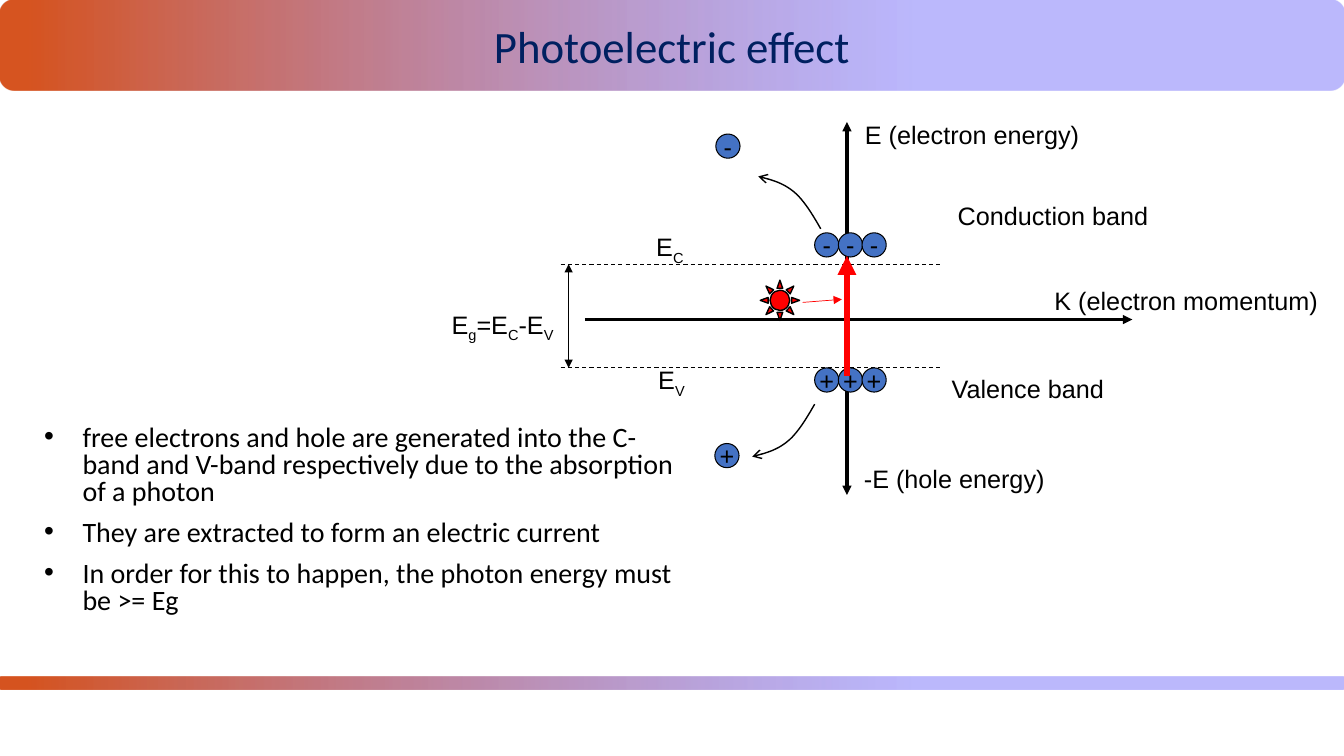
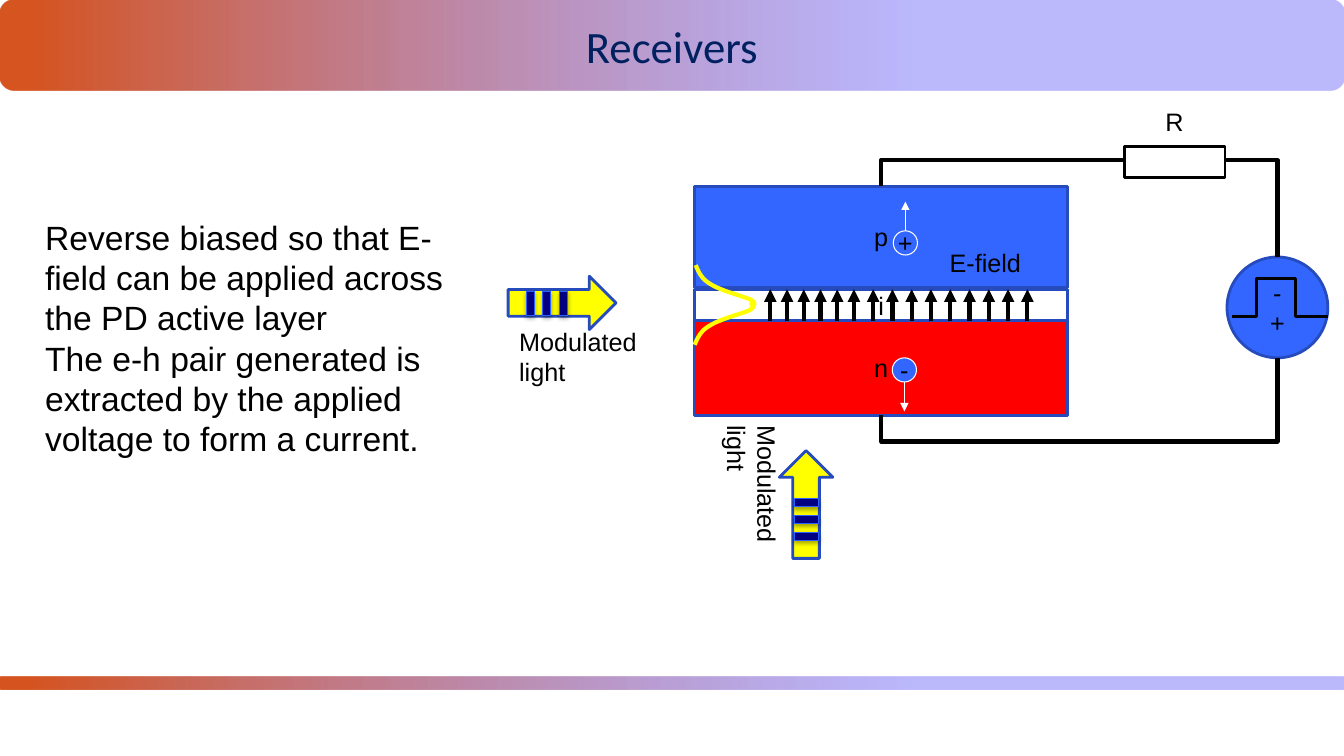
"""Build two slides on the photoelectric effect and on optical receivers."""
from dataclasses import dataclass
from typing import Optional

from lxml.etree import SubElement
from pptx import Presentation
from pptx.dml.color import RGBColor
from pptx.enum.dml import MSO_LINE
from pptx.enum.shapes import MSO_CONNECTOR, MSO_SHAPE
from pptx.enum.text import MSO_ANCHOR, MSO_AUTO_SIZE, PP_ALIGN
from pptx.oxml.ns import qn
from pptx.util import Inches, Pt

BLACK = RGBColor(0x00, 0x00, 0x00)
WHITE = RGBColor(0xFF, 0xFF, 0xFF)
RED = RGBColor(0xFF, 0x00, 0x00)
YELLOW = RGBColor(0xFF, 0xFF, 0x00)
NAVY = RGBColor(0x00, 0x00, 0x80)
TITLE_BLUE = RGBColor(0x00, 0x20, 0x60)
BAND_ORANGE = RGBColor(0xD6, 0x54, 0x20)
BAND_VIOLET = RGBColor(0x7B, 0x75, 0xFB)
CHARGE_BLUE = RGBColor(0x44, 0x72, 0xC4)
DIODE_BLUE = RGBColor(0x33, 0x66, 0xFF)
EDGE_BLUE = RGBColor(0x26, 0x4B, 0xBD)
STRIPE_EDGE = RGBColor(0x2D, 0x61, 0xFE)

PAGE_WIDTH = 13.33
CHARGE_SIZE = 0.24
Point = tuple[float, float]


@dataclass(frozen=True)
class Area:
    left: float
    top: float
    width: float
    height: float

    def lengths(self) -> tuple:
        return tuple(Inches(v) for v in (self.left, self.top, self.width, self.height))


@dataclass(frozen=True)
class Stroke:
    color: RGBColor
    width: float
    head: Optional[str] = None
    tail: Optional[str] = None
    dashed: bool = False


@dataclass(frozen=True)
class Label:
    """A text whose strings alternate between normal and subscript."""
    left: float
    top: float
    width: float
    strings: tuple[str, ...]


@dataclass(frozen=True)
class Layer:
    name: str
    top: float
    height: float
    color: RGBColor


def set_line(line, line_parent, stroke: Stroke) -> None:
    line.color.rgb = stroke.color
    line.width = Pt(stroke.width)
    if stroke.dashed:
        line.dash_style = MSO_LINE.DASH
    outline = line_parent.find(qn("a:ln"))
    for tag, kind in (("a:headEnd", stroke.head), ("a:tailEnd", stroke.tail)):
        if kind:
            SubElement(outline, qn(tag)).set("type", kind)


def add_span(para, text: str, size: float, font: str = "Arial",
             color: RGBColor = BLACK, subscript: bool = False) -> None:
    span = para.add_run()
    span.text = text
    span.font.size = Pt(size)
    span.font.name = font
    span.font.color.rgb = color
    if subscript:
        span._r.get_or_add_rPr().set("baseline", "-25000")


def next_para(frame, index: int):
    return frame.add_paragraph() if index else frame.paragraphs[0]


def add_text_box(page, area: Area, wrap: bool = True):
    box = page.shapes.add_textbox(*area.lengths())
    box.text_frame.word_wrap = wrap
    return box


def add_label(page, label: Label) -> None:
    box = add_text_box(page, Area(label.left, label.top, label.width, 0.4), wrap=False)
    box.text_frame.auto_size = MSO_AUTO_SIZE.SHAPE_TO_FIT_TEXT
    for index, text in enumerate(label.strings):
        add_span(box.text_frame.paragraphs[0], text, 18, subscript=index % 2 == 1)


def add_figure(page, kind, area: Area, fill: RGBColor, stroke: Stroke,
               lines: tuple[str, ...] = (), wrap: bool = True):
    shape = page.shapes.add_shape(kind, *area.lengths())
    shape.shadow.inherit = False
    shape.fill.solid()
    shape.fill.fore_color.rgb = fill
    set_line(shape.line, shape.element.spPr, stroke)
    if lines:
        frame = shape.text_frame
        frame.word_wrap = wrap
        frame.vertical_anchor = MSO_ANCHOR.MIDDLE
        for index, text in enumerate(lines):
            para = next_para(frame, index)
            para.alignment = PP_ALIGN.CENTER
            add_span(para, text, 18)
    return shape


def add_charge(page, left: float, top: float, sign: str,
               fill: RGBColor = CHARGE_BLUE, edge: RGBColor = BLACK) -> None:
    add_figure(page, MSO_SHAPE.OVAL, Area(left, top, CHARGE_SIZE, CHARGE_SIZE), fill,
               Stroke(edge, 0.75), (sign,), wrap=False)


def add_line(page, start: Point, end: Point, stroke: Stroke) -> None:
    ends = (Inches(v) for v in (*start, *end))
    line = page.shapes.add_connector(MSO_CONNECTOR.STRAIGHT, *ends)
    set_line(line.line, line.element.spPr, stroke)
    SubElement(line.element.spPr, qn("a:effectLst"))


def add_outline(page, points: list[Point], stroke: Stroke) -> None:
    corners = [(Inches(x), Inches(y)) for x, y in points]
    builder = page.shapes.build_freeform(*corners[0])
    builder.add_line_segments(corners[1:], close=False)
    shape = builder.convert_to_shape()
    shape.shadow.inherit = False
    shape.fill.background()
    set_line(shape.line, shape.element.spPr, stroke)


def trace_curve(controls: list[Point], steps: int = 12) -> list[Point]:
    """Sample a chain of cubic Bezier pieces."""
    points = [controls[0]]
    for first in range(0, len(controls) - 1, 3):
        piece = controls[first:first + 4]
        for step in range(1, steps + 1):
            t = step / steps
            weights = ((1 - t) ** 3, 3 * t * (1 - t) ** 2, 3 * t * t * (1 - t), t ** 3)
            points.append((sum(w * x for w, (x, _) in zip(weights, piece)),
                           sum(w * y for w, (_, y) in zip(weights, piece))))
    return points


def mirror(points: list[Point], shift: float, height: float) -> list[Point]:
    return [(x + shift, height - y) for x, y in points]


def spread(first: float, last: float, count: int) -> list[float]:
    return [first + index * (last - first) / (count - 1) for index in range(count)]


def add_band(page, top: float, height: float) -> None:
    area = Area(0, top, PAGE_WIDTH, height)
    band = page.shapes.add_shape(MSO_SHAPE.ROUNDED_RECTANGLE, *area.lengths())
    band.shadow.inherit = False
    band.line.fill.background()
    band.fill.gradient()
    band.fill.gradient_angle = 0
    stops = band.fill.gradient_stops
    for stop, position, color in zip(stops, (0.02, 0.68), (BAND_ORANGE, BAND_VIOLET)):
        stop.position = position
        stop.color.rgb = color
    violet = band.element.spPr.findall(".//" + qn("a:srgbClr"))[-1]
    SubElement(violet, qn("a:alpha")).set("val", "51000")


def add_page(deck, title: str):
    page = deck.slides.add_slide(deck.slide_layouts[6])
    add_band(page, 0, 0.9)
    para = add_text_box(page, Area(0, 0.2, PAGE_WIDTH, 0.46)).text_frame.paragraphs[0]
    para.alignment = PP_ALIGN.CENTER
    para.line_spacing = 0.9
    add_span(para, title, 32, "Calibri", TITLE_BLUE)
    add_band(page, 6.71, 0.13)
    return page


def add_bullets(page, area: Area, texts: tuple[str, ...]) -> None:
    frame = add_text_box(page, area).text_frame
    for index, text in enumerate(texts):
        para = next_para(frame, index)
        properties = para._p.get_or_add_pPr()
        properties.set("marL", str(Inches(0.38)))
        properties.set("indent", str(-Inches(0.38)))
        SubElement(properties, qn("a:buFont")).set("typeface", "Arial")
        SubElement(properties, qn("a:buChar")).set("char", "•")
        para.line_spacing = 0.8
        if index:
            para.space_before = Pt(10)
        add_span(para, text, 20, "Calibri")


def add_photoelectric_page(deck) -> None:
    page = add_page(deck, "Photoelectric effect")
    axis_x, conduction_y, valence_y = 8.4, 2.62, 3.65
    add_line(page, (5.8, 3.17), (11.23, 3.17), Stroke(BLACK, 2.25, tail="triangle"))
    add_line(page, (axis_x, 4.91), (axis_x, 1.21), Stroke(BLACK, 2.25, "triangle", "triangle"))
    for level in (conduction_y, valence_y):
        add_line(page, (5.56, level), (9.34, level), Stroke(BLACK, 0.75, dashed=True))
    add_line(page, (5.64, valence_y), (5.64, conduction_y),
             Stroke(BLACK, 0.75, "triangle", "triangle"))
    for label in (
        Label(10.36, 2.78, 2.81, ("K (electron momentum)",)),
        Label(8.48, 1.13, 2.33, ("E (electron energy)",)),
        Label(9.4, 1.94, 2.11, ("Conduction band",)),
        Label(9.34, 3.65, 1.74, ("Valence band",)),
        Label(6.41, 2.25, 0.49, ("E", "C")),
        Label(6.43, 3.57, 0.48, ("E", "V")),
        Label(4.38, 3.02, 1.25, ("E", "g", "=E", "C", "-E", "V")),
        Label(8.47, 4.55, 2.01, ("-E (hole energy)",)),
    ):
        add_label(page, label)
    for sign, row_y, free_x, free_y in (("-", 2.31, 7.1, 1.33), ("+", 3.65, 7.09, 4.4)):
        for left in spread(8.08, 8.55, 3):
            add_charge(page, left, row_y, sign)
        add_charge(page, free_x, free_y, sign)
    escape = trace_curve([(7.52, 1.75), (7.64, 1.78), (7.76, 1.81), (7.87, 1.9),
                          (7.97, 1.98), (8.06, 2.13), (8.14, 2.27)])
    for points in (escape, mirror(escape, -0.06, 6.28)):
        add_outline(page, points, Stroke(BLACK, 1, head="arrow"))
    add_line(page, (axis_x, 3.73), (axis_x, 2.54), Stroke(RED, 4.5, tail="triangle"))
    add_figure(page, MSO_SHAPE.SUN, Area(7.54, 2.78, 0.39, 0.4), RED, Stroke(BLACK, 1))
    add_line(page, (7.96, 3), (8.35, 2.97), Stroke(RED, 0.5, tail="triangle"))
    add_bullets(page, Area(0.34, 4.18, 6.58, 2.14), (
        "free electrons and hole are generated into the C-band and V-band respectively "
        "due to the absorption of a photon",
        "They are extracted to form an electric current",
        "In order for this to happen, the photon energy must be >= Eg",
    ))


def add_modulated_light(page, kind, arrow: Area, stripes: list[Area],
                        caption: Area, rotation: float) -> None:
    add_figure(page, kind, arrow, YELLOW, Stroke(EDGE_BLUE, 2))
    for area in stripes:
        stripe = add_figure(page, MSO_SHAPE.RECTANGLE, area, NAVY, Stroke(STRIPE_EDGE, 0.75))
        effects = stripe.element.spPr.find(qn("a:effectLst"))
        shadow = SubElement(effects, qn("a:outerShdw"), blurRad=str(Pt(3.1)),
                            dist=str(Pt(1.8)), dir="5400000", rotWithShape="0")
        color = SubElement(shadow, qn("a:srgbClr"), val="000000")
        SubElement(color, qn("a:alpha"), val="35000")
    box = add_text_box(page, caption)
    box.rotation = rotation
    add_span(box.text_frame.paragraphs[0], "Modulated light", 18)


def add_receivers_page(deck) -> None:
    page = add_page(deck, "Receivers")
    frame = add_text_box(page, Area(0.35, 2.1, 4.23, 2.52)).text_frame
    for index, text in enumerate((
        "Reverse biased so that E-field can be applied across the PD active layer",
        "The e-h pair generated is extracted by the applied voltage to form a current.",
    )):
        add_span(next_para(frame, index), text, 24)
    for layer in (Layer("p", 1.85, 1, DIODE_BLUE), Layer("i", 2.87, 0.31, WHITE),
                  Layer("n", 3.18, 0.94, RED)):
        add_figure(page, MSO_SHAPE.RECTANGLE, Area(6.89, layer.top, 3.7, layer.height),
                   layer.color, Stroke(EDGE_BLUE, 2), (layer.name,))
    mode = trace_curve([(6.9, 2.63), (6.93, 2.7), (6.96, 2.77), (7.05, 2.82), (7.14, 2.88),
                        (7.37, 2.94), (7.44, 2.97), (7.51, 3.01), (7.48, 3.03), (7.45, 3.05)])
    for points in (mode, mirror(mode, -0.01, 6.05)):
        add_outline(page, points, Stroke(YELLOW, 3))
    add_figure(page, MSO_SHAPE.OVAL, Area(12.17, 2.55, 1, 1), DIODE_BLUE,
               Stroke(EDGE_BLUE, 2), ("-", "+"))
    for source_y, wire_y, diode_y in ((2.55, 1.59, 1.85), (3.55, 4.38, 4.12)):
        add_outline(page, [(12.67, source_y), (12.67, wire_y), (8.74, wire_y), (8.74, diode_y)],
                    Stroke(BLACK, 3))
    for x in spread(7.64, 8.47, 6) + spread(8.66, 10.19, 9):
        add_line(page, (x, 3.18), (x, 2.87), Stroke(BLACK, 3, tail="triangle"))
    for sign, left, top, start, end in (("-", 8.85, 3.55, 3.79, 4.08), ("+", 8.86, 2.29, 2.29, 2)):
        add_charge(page, left, top, sign, DIODE_BLUE, WHITE)
        middle = left + CHARGE_SIZE / 2
        add_line(page, (middle, start), (middle, end), Stroke(WHITE, 0.75, tail="triangle"))
    add_outline(page, [(12.22, 3.14), (12.46, 3.14), (12.46, 2.76), (12.85, 2.76),
                       (12.85, 3.14), (13.17, 3.14)], Stroke(BLACK, 2.25))
    add_label(page, Label(9.32, 2.4, 0.92, ("E-field",)))
    add_modulated_light(page, MSO_SHAPE.RIGHT_ARROW, Area(5.04, 2.74, 1.07, 0.53),
                        [Area(x, 2.89, 0.08, 0.24) for x in spread(5.22, 5.55, 3)],
                        Area(5.05, 3.19, 1.41, 0.71), 0)
    add_modulated_light(page, MSO_SHAPE.UP_ARROW, Area(7.73, 4.47, 0.53, 1.07),
                        [Area(7.88, y, 0.24, 0.08) for y in spread(4.95, 5.28, 3)],
                        Area(6.75, 4.47, 1.41, 0.71), 90)
    add_figure(page, MSO_SHAPE.RECTANGLE, Area(11.15, 1.45, 1, 0.31), WHITE, Stroke(BLACK, 2))
    add_label(page, Label(11.46, 1.01, 0.38, ("R",)))


def main() -> None:
    deck = Presentation()
    deck.slide_width = Inches(PAGE_WIDTH)
    deck.slide_height = Inches(7.5)
    add_photoelectric_page(deck)
    add_receivers_page(deck)
    deck.save("out.pptx")


if __name__ == "__main__":
    main()
